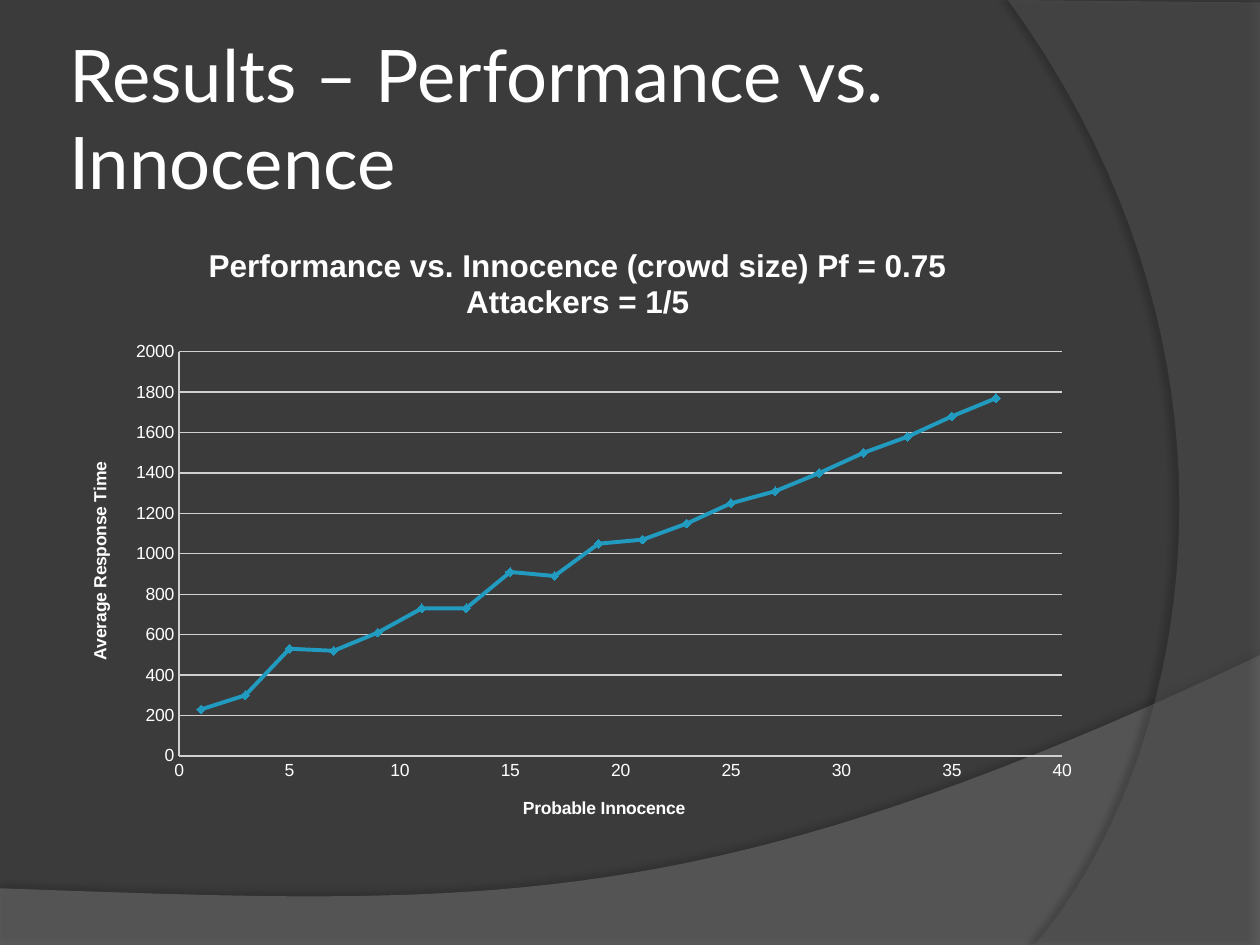
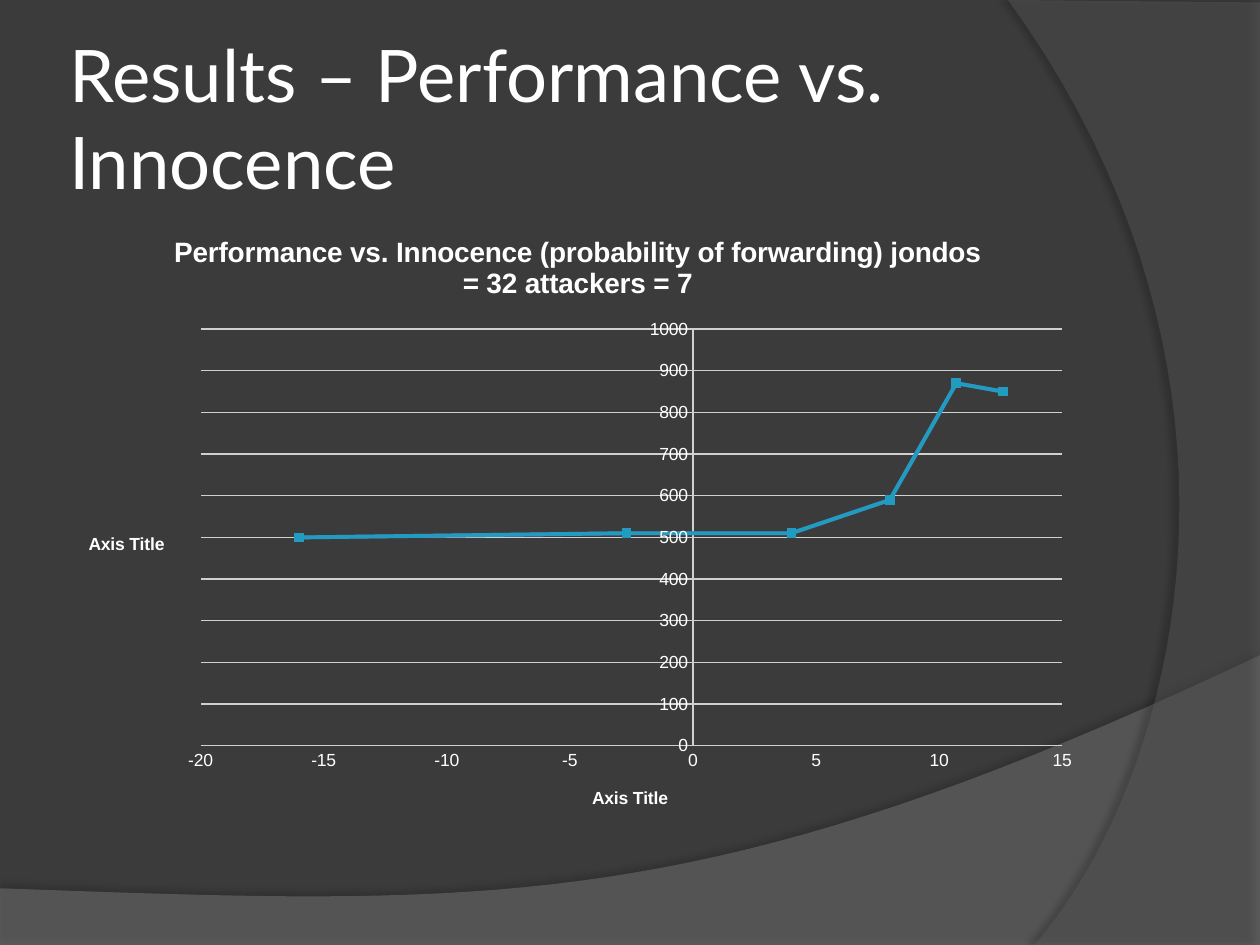
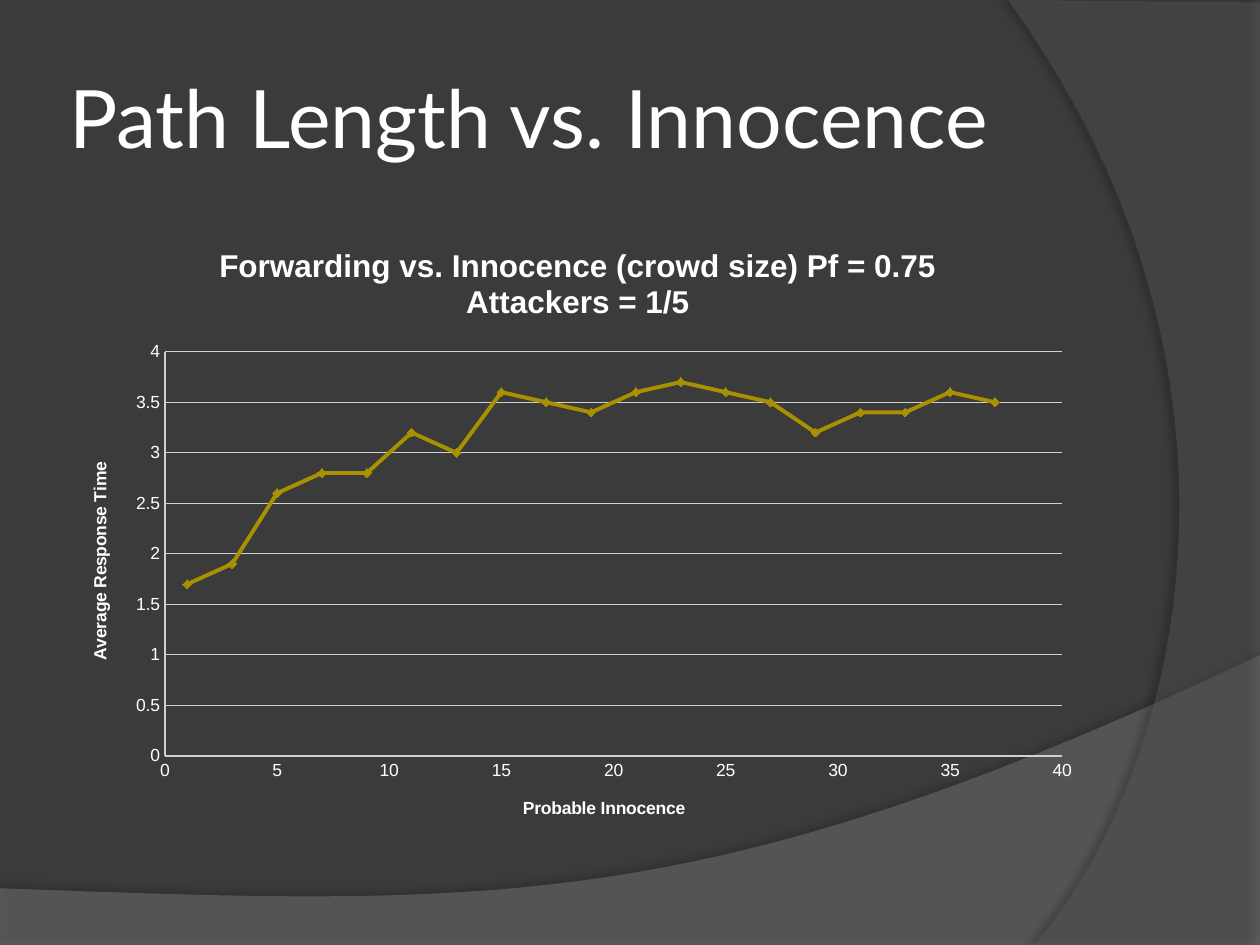
from pptx import Presentation
from pptx.chart.data import XyChartData
from pptx.dml.color import RGBColor
from pptx.enum.chart import XL_CHART_TYPE, XL_MARKER_STYLE, XL_TICK_MARK
from pptx.enum.text import MSO_ANCHOR
from pptx.oxml import parse_xml
from pptx.oxml.ns import nsdecls, qn
from pptx.util import Inches, Pt

BACK = RGBColor(0x3B, 0x3B, 0x3B)
WHITE = RGBColor(0xFF, 0xFF, 0xFF)
GRID = RGBColor(0xD0, 0xD0, 0xD0)
WAVE = RGBColor(0x7F, 0x7F, 0x7F)
ARC = RGBColor(0x5E, 0x5E, 0x5E)
BLUE = RGBColor(0x22, 0x9B, 0xC0)
PURPLE = RGBColor(0x5C, 0x5A, 0x9C)
GOLD = RGBColor(0xA8, 0x90, 0x00)

DIAMOND, SQUARE = XL_MARKER_STYLE.DIAMOND, XL_MARKER_STYLE.SQUARE
LEFT, WIDTH = 0.5, 8.17

# Each band: corners, curve (start, two controls, end), fill, opacity, shadow
BANDS = [
    dict(corners=[(0, 7.05), (0, 7.51), (10, 7.51)],
         curve=[(10, 5.2), (5.59, 7.29), (3.91, 7.19), (0, 7.05)],
         fill=WAVE, alpha=45, shade=dict(alpha=35, blur=4, dist=3.5, angle=270)),
    dict(corners=[(10, 0.02), (10, 7.5)],
         curve=[(8.21, 7.5), (9.35, 6.19), (10.18, 3), (8, 0)],
         fill=ARC, alpha=40, shade=dict(alpha=45, blur=4, dist=4, angle=180)),
]

ODDS = list(range(1, 38, 2))
ODD_AXIS = ("Probable Innocence", 0, 40, 5)
FORWARD = [-16, -2.7, 4, 8, 10.7, 12.6]
TIMES = [500, 510, 510, 590, 870, 850]

SLIDES = [
    dict(title="Results – Performance vs. Innocence", size=41.4, top=1.75,
         head="Performance vs. Innocence (crowd size) Pf = 0.75 Attackers = 1/5",
         head_size=18, x_axis=ODD_AXIS,
         y_axis=("Average Response Time", 0, 2000, 200), turn=-90, x=ODDS,
         series=[(BLUE, DIAMOND,
                  [230, 300, 530, 520, 610, 730, 730, 910, 890, 1050, 1070,
                   1150, 1250, 1310, 1400, 1500, 1580, 1680, 1770])]),
    dict(title="Results – Performance vs. Innocence", size=41.4, top=1.67,
         head="Performance vs. Innocence (probability of forwarding) "
              "jondos = 32 attackers = 7",
         head_size=16, x_axis=("Axis Title", -20, 15, 5),
         y_axis=("Axis Title", 0, 1000, 100), turn=0, x=FORWARD,
         series=[(BLUE, SQUARE, TIMES), (PURPLE, DIAMOND, TIMES)]),
    dict(title="Path Length vs. Innocence", size=46, top=1.75,
         head="Forwarding vs. Innocence (crowd size) Pf = 0.75 Attackers = 1/5",
         head_size=18, x_axis=ODD_AXIS,
         y_axis=("Average Response Time", 0, 4, 0.5), turn=-90, x=ODDS,
         series=[(GOLD, DIAMOND,
                  [1.7, 1.9, 2.6, 2.8, 2.8, 3.2, 3, 3.6, 3.5, 3.4, 3.6,
                   3.7, 3.6, 3.5, 3.2, 3.4, 3.4, 3.6, 3.5])]),
]


def bezier(curve, steps=40):
    """Points along a cubic curve, both ends included."""
    points = []
    for step in range(steps + 1):
        t = step / steps
        parts = ((1 - t) ** 3, 3 * t * (1 - t) ** 2, 3 * t * t * (1 - t), t ** 3)
        points.append(tuple(sum(w * p[i] for w, p in zip(parts, curve))
                            for i in (0, 1)))
    return points


def add_band(slide, band):
    points = [(Inches(x), Inches(y))
              for x, y in band["corners"] + bezier(band["curve"])]
    pen = slide.shapes.build_freeform(*points[0])
    pen.add_line_segments(points[1:])
    shape = pen.convert_to_shape()
    shape.fill.solid()
    shape.fill.fore_color.rgb = band["fill"]
    shape.line.fill.background()
    color = shape.element.spPr.find(".//" + qn("a:srgbClr"))
    color.append(parse_xml(
        f'<a:alpha {nsdecls("a")} val="{band["alpha"] * 1000}"/>'))
    shade = band["shade"]
    shape.element.spPr.append(parse_xml(
        f'<a:effectLst {nsdecls("a")}><a:outerShdw blurRad="{Pt(shade["blur"])}" '
        f'dist="{Pt(shade["dist"])}" dir="{shade["angle"] * 60000}" '
        f'algn="ctr" rotWithShape="0"><a:srgbClr val="000000">'
        f'<a:alpha val="{shade["alpha"] * 1000}"/></a:srgbClr>'
        f'</a:outerShdw></a:effectLst>'))
    return shape


def add_title(slide, text, size):
    box = slide.shapes.add_textbox(Inches(LEFT), Inches(0.3),
                                   Inches(WIDTH), Inches(1.25))
    frame = box.text_frame
    frame.word_wrap = True
    frame.vertical_anchor = MSO_ANCHOR.MIDDLE
    frame.margin_left = frame.margin_right = Inches(0.05)
    frame.margin_top = frame.margin_bottom = Inches(0.05)
    frame.text = text
    set_font(frame.paragraphs[0].font, size, "Lato")


def set_font(font, size, name="Arial", bold=False):
    font.name, font.size, font.bold = name, Pt(size), bold
    font.color.rgb = WHITE


def set_head(head, text, size, turn=0):
    """Fill a chart or axis title and turn it by the given degrees."""
    head.text_frame.text = text
    set_font(head.text_frame.paragraphs[0].font, size, bold=True)
    body = head.element.find(".//" + qn("a:bodyPr"))
    body.set("rot", str(turn * 60000))
    body.set("vert", "horz")


def set_axis(axis, label, low, high, unit, turn=0):
    axis.minimum_scale, axis.maximum_scale = low, high
    axis.major_unit = unit
    axis.major_tick_mark = axis.minor_tick_mark = XL_TICK_MARK.NONE
    axis.format.line.color.rgb = GRID
    axis.format.line.width = Pt(0.75)
    set_font(axis.tick_labels.font, 10)
    set_head(axis.axis_title, label, 10, turn)


def add_plot(slide, item):
    data = XyChartData()
    for number, (_, _, values) in enumerate(item["series"], 1):
        series = data.add_series(f"Series {number}")
        for x, y in zip(item["x"], values):
            series.add_data_point(x, y)
    chart = slide.shapes.add_chart(
        XL_CHART_TYPE.XY_SCATTER_LINES, Inches(LEFT), Inches(item["top"]),
        Inches(WIDTH), Inches(4.95), data).chart
    set_font(chart.font, 10)
    chart.has_legend = False
    chart.plots[0].vary_by_categories = False
    set_head(chart.chart_title, item["head"], item["head_size"])
    chart.chart_title.include_in_layout = False
    set_axis(chart.category_axis, *item["x_axis"])
    set_axis(chart.value_axis, *item["y_axis"], item["turn"])
    chart.category_axis.has_major_gridlines = False
    grid = chart.value_axis.major_gridlines.format.line
    grid.color.rgb, grid.width = GRID, Pt(0.75)
    for series, (color, style, _) in zip(chart.plots[0].series, item["series"]):
        series.format.line.color.rgb = color
        series.format.line.width = Pt(2.25)
        marker = series.marker
        marker.style, marker.size = style, 5
        marker.format.fill.solid()
        marker.format.fill.fore_color.rgb = color
        marker.format.line.color.rgb = color


def main():
    deck = Presentation()
    deck.slide_width, deck.slide_height = Inches(10), Inches(7.5)
    master = deck.slide_master
    master.background.fill.solid()
    master.background.fill.fore_color.rgb = BACK
    slides = [deck.slides.add_slide(deck.slide_layouts[6]) for _ in SLIDES]
    for band in BANDS:
        # Bands move to the master, so every slide shares them
        master.shapes.element.append(add_band(slides[0], band).element)
    for slide, item in zip(slides, SLIDES):
        add_title(slide, item["title"], item["size"])
        add_plot(slide, item)
    deck.save("out.pptx")


if __name__ == "__main__":
    main()
